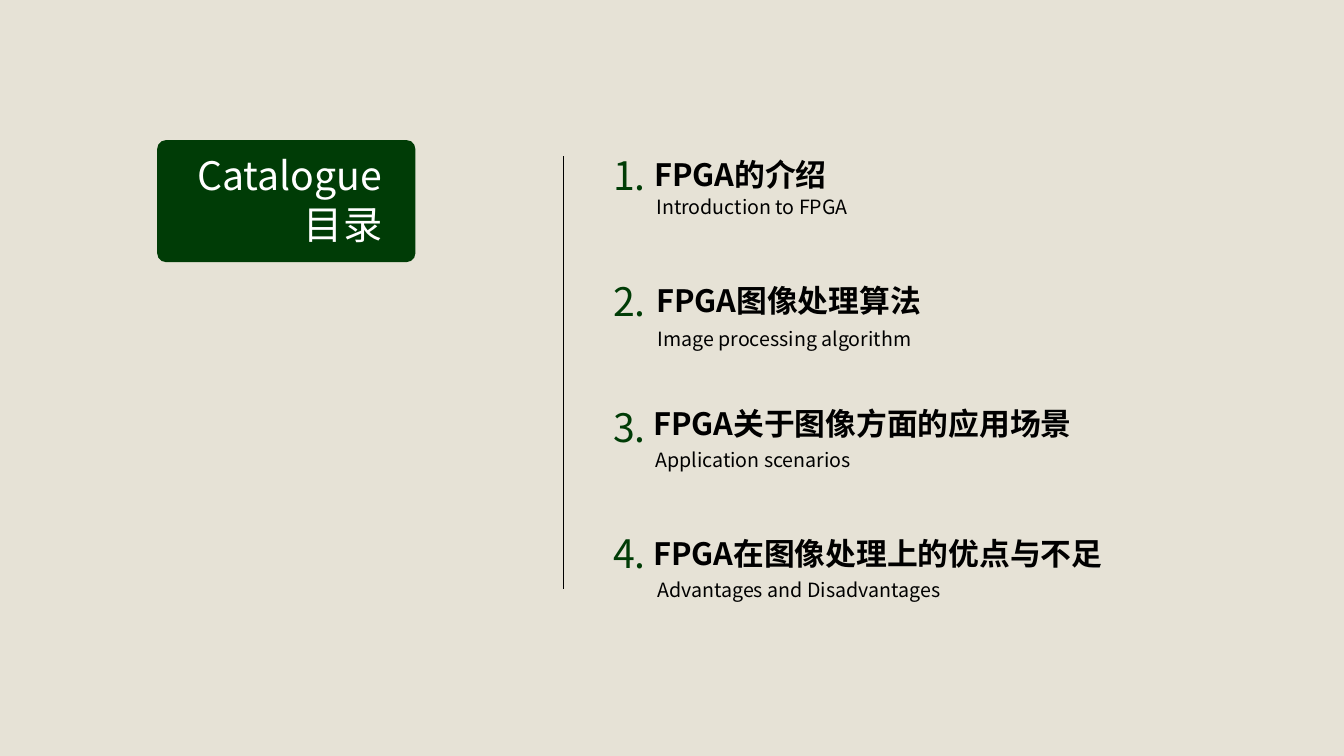
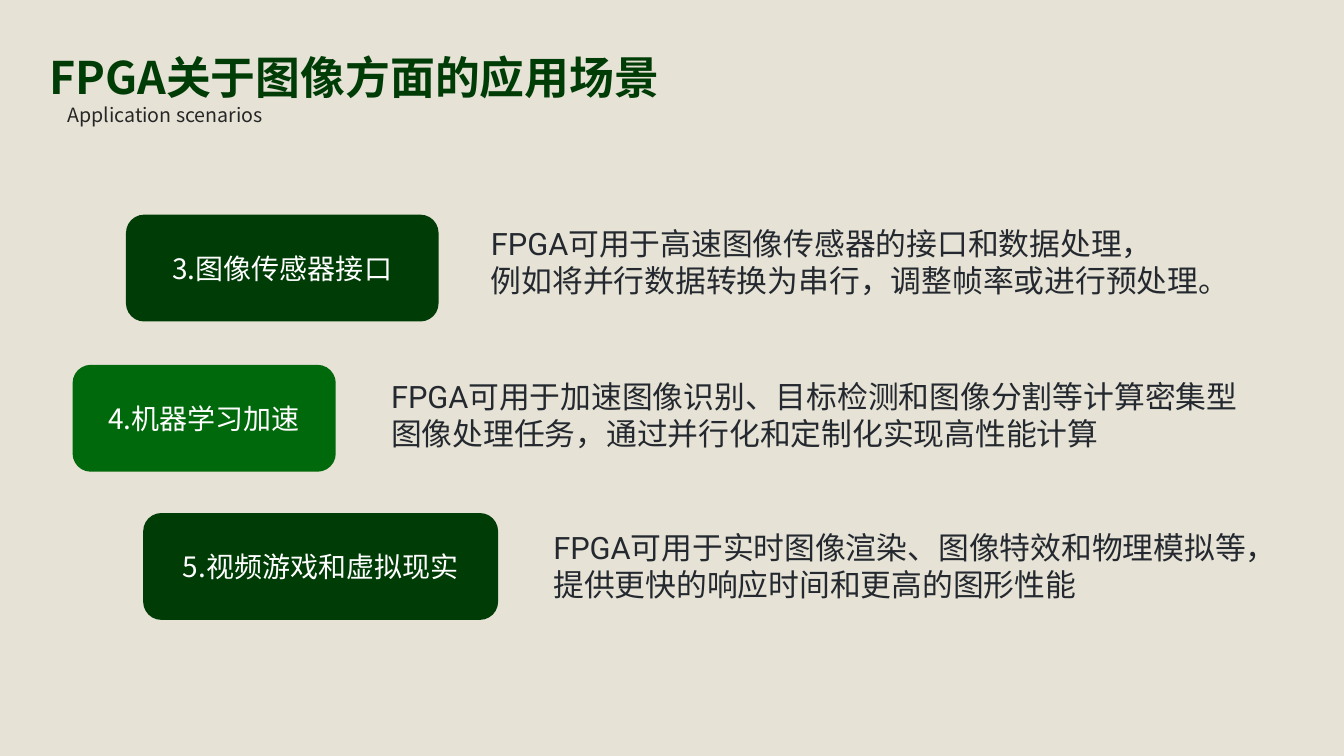
from lxml import etree
from pptx import Presentation, util as u
from pptx.dml.color import RGBColor
from pptx.enum import shapes, text
from pptx.enum.lang import MSO_LANGUAGE_ID
from pptx.oxml.ns import qn

COLOURS = {"paper": "E6E2D6", "deep": "003C06", "leaf": "00690B", "white": "FFFFFF",
           "black": "000000", "subtitle": "262626", "body": "24292F"}
SANS, BODY = "Noto Sans CJK JP", "Roboto"
LEFT, RIGHT, CENTRE = text.PP_ALIGN.LEFT, text.PP_ALIGN.RIGHT, text.PP_ALIGN.CENTER
TOP, MIDDLE = text.MSO_ANCHOR.TOP, text.MSO_ANCHOR.MIDDLE
NO_INSET, SLIM_INSET, WIDE_INSET = (0, 0), (0.07, 0.04), (0.1, 0.05)

CATALOGUE = ["Catalogue", "目录"]
CHAPTERS = [
    ("FPGA的介绍", "Introduction to FPGA", 6.49, 1.54, 6.51, 1.93),
    ("FPGA图像处理算法", "Image processing algorithm", 6.51, 2.8, 6.52, 3.24),
    ("FPGA关于图像方面的应用场景", "Application scenarios", 6.48, 4.02, 6.5, 4.44),
    ("FPGA在图像处理上的优点与不足", "Advantages and Disadvantages", 6.48, 5.31, 6.52, 5.73),
]
FIRST_CHAPTER, CHAPTER_PITCH = 1.5, 1.25

SCENARIOS = [
    ("3.图像传感器接口", "deep", (1.25, 2.13, 3.1),
     ["FPGA可用于高速图像传感器的接口和数据处理，",
      "例如将并行数据转换为串行，调整帧率或进行预处理。"],
     (4.8, 1.99, 7.43, 1.21), MIDDLE, SLIM_INSET),
    ("4.机器学习加速", "leaf", (0.72, 3.62, 2.61),
     ["FPGA可用于加速图像识别、目标检测和图像分割等计算密集型图像处理任务，"
      "通过并行化和定制化实现高性能计算"],
     (3.78, 3.7, 8.69, 0.84), TOP, WIDE_INSET),
    ("5.视频游戏和虚拟现实", "deep", (1.42, 5.09, 3.52),
     ["FPGA可用于实时图像渲染、图像特效和物理模拟等，提供更快的响应时间和更高的图形性能"],
     (5.39, 5.2, 7.14, 0.84), TOP, WIDE_INSET),
]
BUTTON_HEIGHT = 1.06


def rgb(name):
    return RGBColor.from_string(COLOURS[name])


def new_slide(deck):
    slide = deck.slides.add_slide(deck.slide_layouts[6])
    slide.background.fill.solid()
    slide.background.fill.fore_color.rgb = rgb("paper")
    return slide


def write(frame, lines, size, colour, bold=False, align=LEFT, anchor=TOP,
          inset=NO_INSET, font=SANS):
    frame.word_wrap = True
    frame.vertical_anchor = anchor
    frame.margin_left = frame.margin_right = u.Inches(inset[0])
    frame.margin_top = frame.margin_bottom = u.Inches(inset[1])
    for index, line in enumerate(lines):
        paragraph = frame.add_paragraph() if index else frame.paragraphs[0]
        paragraph.alignment = align
        run = paragraph.add_run()
        run.text = line
        run.font.size = u.Pt(size)
        run.font.bold = bold
        run.font.name = font
        run.font.color.rgb = rgb(colour)
        run.font.language_id = MSO_LANGUAGE_ID.SIMPLIFIED_CHINESE
        etree.SubElement(run.font._element, qn("a:ea"), typeface=SANS)


def label(slide, box, lines, size, colour, **style):
    frame = slide.shapes.add_textbox(*map(u.Inches, box)).text_frame
    write(frame, lines, size, colour, **style)


def panel(slide, box, colour, rounding):
    shape = slide.shapes.add_shape(shapes.MSO_SHAPE.ROUNDED_RECTANGLE, *map(u.Inches, box))
    shape.adjustments[0] = rounding
    shape.shadow.inherit = False
    shape.fill.solid()
    shape.fill.fore_color.rgb = rgb(colour)
    shape.line.fill.background()
    return shape


def divider(slide, x, top, bottom):
    line = slide.shapes.add_connector(shapes.MSO_CONNECTOR.STRAIGHT,
                                      *map(u.Inches, (x, bottom, x, top)))
    line.line.color.rgb = rgb("black")
    line.line.width = u.Pt(1)
    etree.SubElement(line._element.spPr, qn("a:effectLst"))


def build_catalogue(deck):
    slide = new_slide(deck)
    panel(slide, (1.56, 1.39, 2.56, 1.21), "deep", 0.07)
    for row, word in enumerate(CATALOGUE):
        label(slide, (1.84, 1.5 + 0.49 * row, 1.95, 0.47), [word], 28, "white",
              align=RIGHT, anchor=MIDDLE)
    divider(slide, 5.59, 1.55, 5.84)
    for row, (title, subtitle, title_x, title_y, sub_x, sub_y) in enumerate(CHAPTERS):
        label(slide, (6.08, FIRST_CHAPTER + CHAPTER_PITCH * row, 0.42, 0.47),
              [f"{row + 1}."], 28, "deep", anchor=MIDDLE)
        label(slide, (title_x, title_y, 4.84, 0.37), [title], 22, "black", bold=True)
        label(slide, (sub_x, sub_y, 3.28, 0.24), [subtitle], 14, "black")


def build_scenarios(deck):
    slide = new_slide(deck)
    title, subtitle = CHAPTERS[2][:2]
    label(slide, (0.49, 0.49, 6.4, 0.54), [title], 32, "deep", bold=True)
    label(slide, (0.49, 1.02, 2.12, 0.24), [subtitle], 14, "subtitle", align=RIGHT)
    for name, colour, place, details, box, anchor, inset in SCENARIOS:
        button = panel(slide, (*place, BUTTON_HEIGHT), colour, 0.17)
        write(button.text_frame, [name], 20, "white", align=CENTRE, anchor=MIDDLE,
              inset=SLIM_INSET)
        label(slide, box, details, 22, "body", anchor=anchor, inset=inset, font=BODY)


def main():
    deck = Presentation()
    deck.slide_width, deck.slide_height = u.Inches(13.33), u.Inches(7.5)
    build_catalogue(deck)
    build_scenarios(deck)
    deck.save("out.pptx")


if __name__ == "__main__":
    main()
